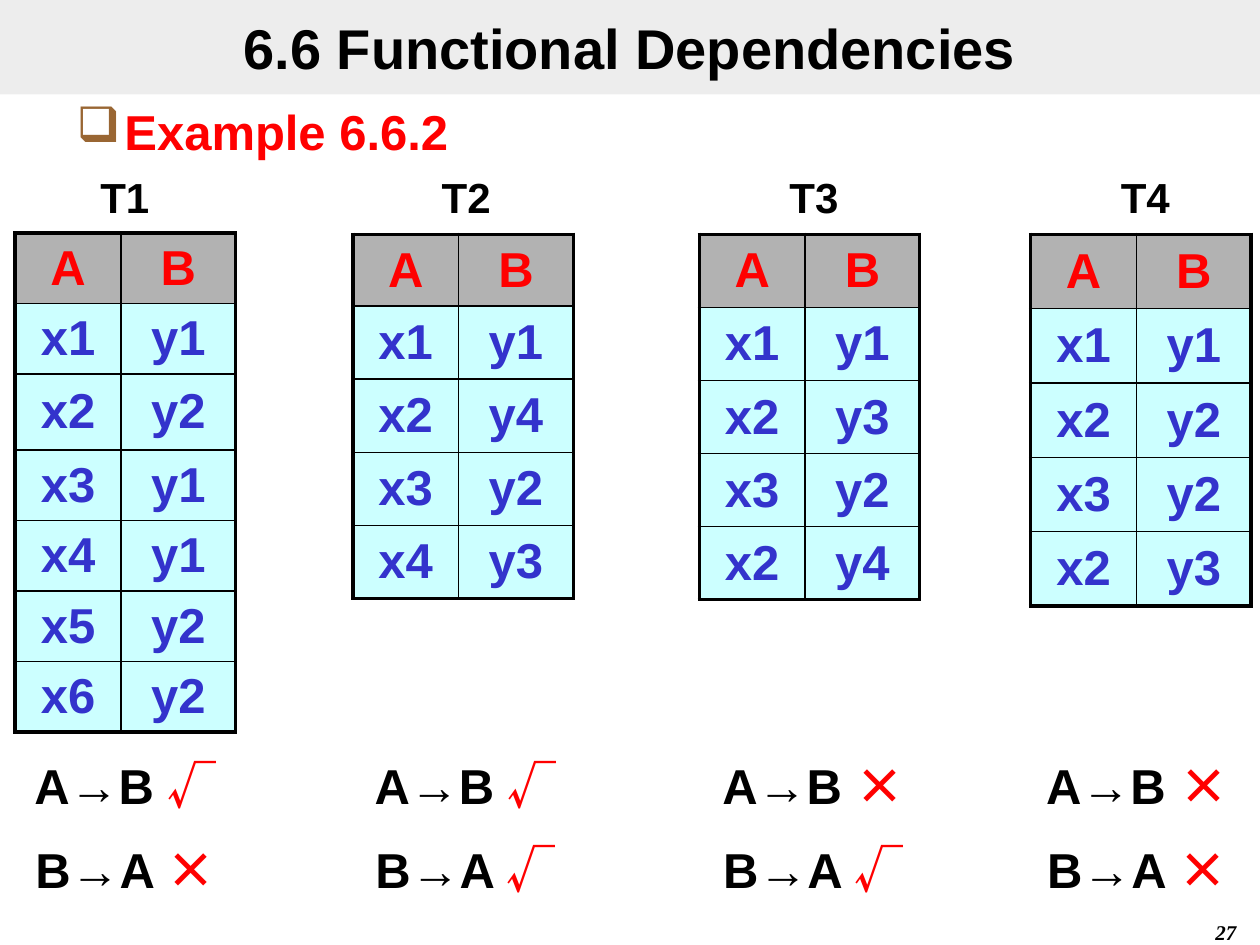
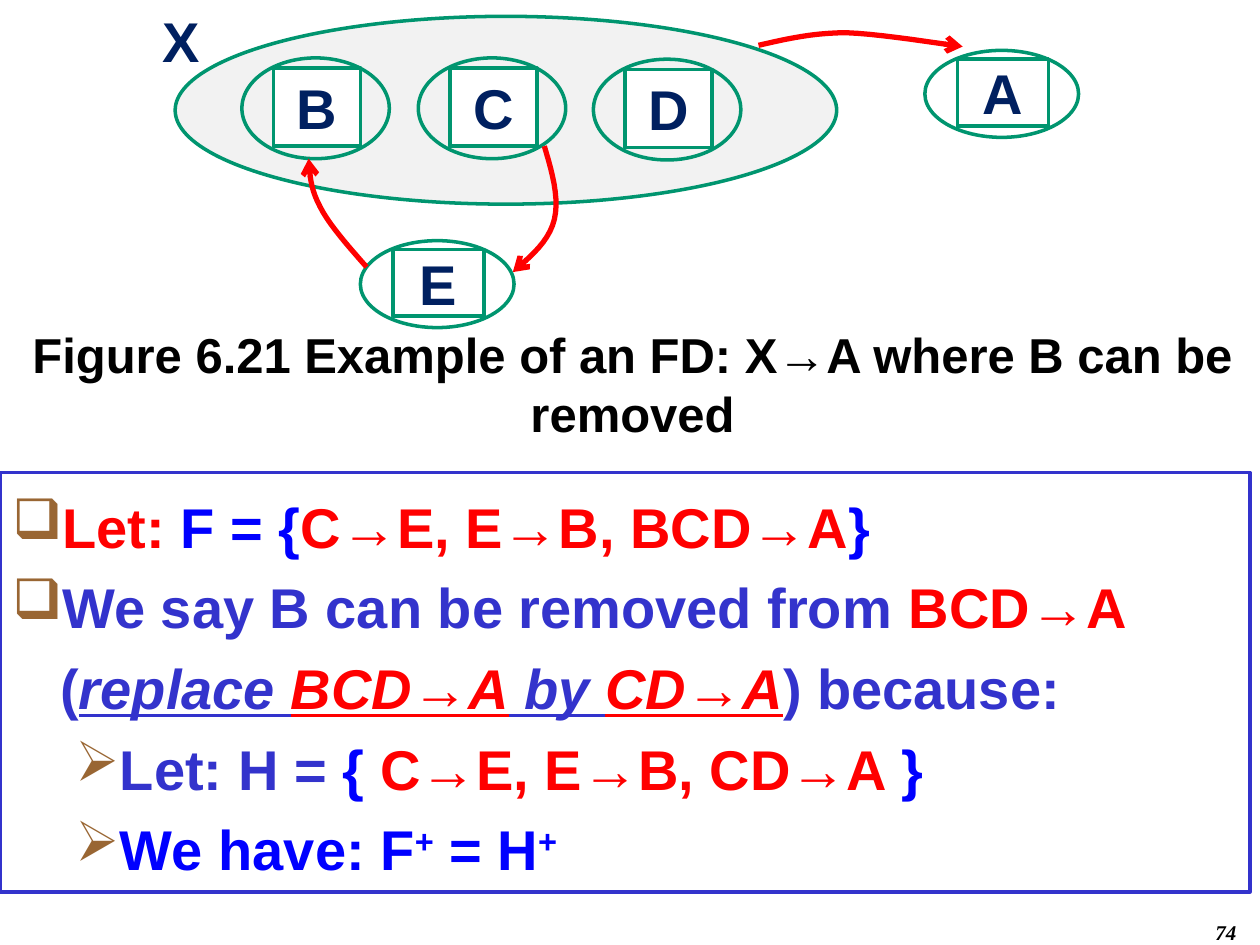
from dataclasses import dataclass

from lxml import etree
from pptx import Presentation
from pptx import util as u
from pptx.dml.color import RGBColor
from pptx.enum import shapes, text
from pptx.oxml import ns


@dataclass(frozen=True)
class Theme:
    font: str = "Arial"
    symbol_font: str = "Noto Sans CJK SC"
    number_font: str = "Times New Roman"
    black: str = "000000"
    white: str = "FFFFFF"
    red: str = "FF0000"
    blue: str = "0000FF"
    indigo: str = "3333CC"
    navy: str = "002060"
    green: str = "00956F"
    brown: str = "996633"
    band: str = "DDDDDD"
    header: str = "B2B2B2"
    cell: str = "CCFFFF"
    oval: str = "F2F2F2"
    title: int = 32
    body: int = 28
    label: int = 24
    number: int = 12


THEME = Theme()
CENTER = text.PP_ALIGN.CENTER
MIDDLE = text.MSO_ANCHOR.MIDDLE
ARROW_STEPS = 10

TABLES = [
    (0.12, 1.85, 0.28, 0.12, [0.56, 0.56, 0.6] + [0.56] * 4,
     ["y1", "y2", "y1", "y1", "y2", "y2"], "x1 x2 x3 x4 x5 x6", "√×"),
    (2.8, 1.86, 2.99, 2.82, [0.57] + [0.58] * 4,
     ["y1", "y4", "y2", "y3"], "x1 x2 x3 x4", "√√"),
    (5.55, 1.86, 5.75, 5.58, [0.58] * 5,
     ["y1", "y3", "y2", "y4"], "x1 x2 x3 x2", "×√"),
    (8.18, 1.86, 8.38, 8.15, [0.59] * 5,
     ["y1", "y2", "y2", "y3"], "x1 x2 x3 x2", "××"),
]


def color(value):
    return RGBColor.from_string(value)


def add_xml(parent, tag, **attributes):
    child = etree.SubElement(parent, ns.qn(tag))
    for name, value in attributes.items():
        child.set(name, str(value))
    return child


def set_font(font, size, fill, name=THEME.font, italic=None):
    font.name, font.size, font.bold, font.italic = name, u.Pt(size), True, italic
    font.color.rgb = color(fill)


def write(paragraph, words, size, fill, align=CENTER, **options):
    paragraph.add_run().text = words
    paragraph.alignment = align
    set_font(paragraph.font, size, fill, **options)


def add_run(paragraph, words, fill, size, name=THEME.font, emphasis=False, raised=False):
    run = paragraph.add_run()
    run.text = words
    set_font(run.font, size, fill, name, emphasis or None)
    if emphasis:
        run.font.underline = True
    if raised:
        run.font._element.set("baseline", "30000")
    return run


def add_bullet(paragraph, char, left, hanging):
    properties = paragraph._p.get_or_add_pPr()
    properties.set("marL", str(u.Inches(left)))
    properties.set("indent", str(-u.Inches(hanging)))
    add_xml(add_xml(properties, "a:buClr"), "a:srgbClr", val=THEME.brown)
    add_xml(properties, "a:buChar", char=char)


def add_text(slide, left, top, width, height):
    frame = slide.shapes.add_textbox(*map(u.Inches, (left, top, width, height))).text_frame
    frame.word_wrap = True
    return frame


def style_shape(shape, fill=None, line=None, width=2):
    shape.shadow.inherit = False
    if fill:
        shape.fill.solid()
        shape.fill.fore_color.rgb = color(fill)
    else:
        shape.fill.background()
    if line:
        shape.line.color.rgb = color(line)
        shape.line.width = u.Pt(width)
    else:
        shape.line.fill.background()


def add_shape(slide, kind, left, top, width, height, fill=None, line=None):
    shape = slide.shapes.add_shape(kind, *map(u.Inches, (left, top, width, height)))
    style_shape(shape, fill, line)
    return shape


def center_label(frame, words):
    frame.margin_left = frame.margin_right = frame.margin_top = frame.margin_bottom = 0
    frame.vertical_anchor = MIDDLE
    write(frame.paragraphs[0], words, THEME.title, THEME.navy)


def add_slide(presentation, number):
    slide = presentation.slides.add_slide(presentation.slide_layouts[6])
    frame = add_text(slide, 7.83, 7.25, 2.08, 0.25)
    write(frame.paragraphs[0], str(number), THEME.number, THEME.black,
          text.PP_ALIGN.RIGHT, name=THEME.number_font, italic=True)
    return slide


def add_title(slide, words):
    band = add_shape(slide, shapes.MSO_SHAPE.RECTANGLE, 0, 0, 10, 0.75, THEME.band)
    add_xml(band.fill._xPr.find(".//" + ns.qn("a:srgbClr")), "a:alpha", val=50000)
    band.text_frame.vertical_anchor = MIDDLE
    write(band.text_frame.paragraphs[0], words, THEME.title, THEME.black)


def set_borders(cell, outer_edges):
    properties = cell._tc.get_or_add_tcPr()
    for position, (side, is_outer) in enumerate(zip("LRTB", outer_edges)):
        width = u.Pt(2.25 if is_outer else 1)
        line = etree.Element(ns.qn("a:ln" + side), w=str(width))
        add_xml(add_xml(line, "a:solidFill"), "a:srgbClr", val=THEME.black)
        properties.insert(position, line)


def add_relation(slide, left, top, heights, rows):
    size = map(u.Inches, (left, top, 1.75, sum(heights)))
    table = slide.shapes.add_table(len(rows), 2, *size).table
    for column, width in zip(table.columns, (0.84, 0.91)):
        column.width = u.Inches(width)
    for i, (height, row) in enumerate(zip(heights, rows)):
        table.rows[i].height = u.Inches(height)
        for j, words in enumerate(row):
            cell = table.cell(i, j)
            cell.margin_top = cell.margin_bottom = 0
            cell.vertical_anchor = MIDDLE
            cell.fill.solid()
            cell.fill.fore_color.rgb = color(THEME.cell if i else THEME.header)
            set_borders(cell, (j == 0, j == 1, i == 0, i == len(rows) - 1))
            write(cell.text_frame.paragraphs[0], words, THEME.body,
                  THEME.indigo if i else THEME.red)


def add_verdicts(slide, left, marks):
    frame = add_text(slide, left, 5.95, 1.75, 1.27)
    for i, (rule, mark) in enumerate(zip(("A→B ", "B→A "), marks)):
        paragraph = frame.add_paragraph() if i else frame.paragraphs[0]
        paragraph.alignment = CENTER
        paragraph.line_spacing = u.Pt(33.6)
        if i:
            paragraph.space_before = u.Pt(14)
        add_run(paragraph, rule, THEME.black, THEME.body)
        run = add_run(paragraph, mark, THEME.red, THEME.body, THEME.symbol_font)
        add_xml(run.font._element, "a:ea", typeface=THEME.symbol_font)


def add_attribute(slide, words, left, top, oval, box, offset):
    add_shape(slide, shapes.MSO_SHAPE.OVAL, left, top, *oval, line=THEME.green)
    label = add_shape(slide, shapes.MSO_SHAPE.RECTANGLE, left + offset[0], top + offset[1],
                      *box, THEME.white, THEME.green)
    center_label(label.text_frame, words)


def curve_points(points):
    for k in range(0, len(points) - 1, 3):
        for step in range(1, ARROW_STEPS + 1):
            t = step / ARROW_STEPS
            weights = ((1 - t) ** 3, 3 * t * (1 - t) ** 2, 3 * t * t * (1 - t), t ** 3)
            yield tuple(u.Inches(sum(w * p[axis] for w, p in zip(weights, points[k:k + 4])))
                        for axis in (0, 1))


def add_curved_arrow(slide, points):
    builder = slide.shapes.build_freeform(*map(u.Inches, points[0]))
    builder.add_line_segments(list(curve_points(points)), close=False)
    arrow = builder.convert_to_shape()
    style_shape(arrow, line=THEME.red, width=3)
    add_xml(arrow.line._get_or_add_ln(), "a:tailEnd", type="arrow")


def add_statements(slide):
    box = add_shape(slide, shapes.MSO_SHAPE.RECTANGLE, 0, 3.75, 9.92, 3.33, line=THEME.indigo)
    frame = box.text_frame
    frame.vertical_anchor = text.MSO_ANCHOR.TOP
    red, blue, indigo = THEME.red, THEME.blue, THEME.indigo
    main, detail = ("❑", 0.38, 0.38), ("➢", 0.81, 0.31)
    emphasis, raised = {"emphasis": True}, {"raised": True}
    statements = [
        (main, [("Let: ", red), ("F = {", blue), ("C→E, E→B, BCD→A", red), ("}", blue)]),
        (main, [("We say B can be removed from ", indigo), ("BCD→A", red), (" (", indigo),
                ("replace ", indigo, emphasis), ("BCD→A", red, emphasis),
                (" by ", indigo, emphasis), ("CD→A", red, emphasis),
                (") because:", indigo)]),
        (detail, [("Let: H = ", indigo), ("{ ", blue), ("C→E, E→B, CD→A ", red),
                  ("}", blue)]),
        (detail, [("We have: F", blue), ("+", blue, raised), (" = H", blue),
                  ("+", blue, raised)]),
    ]
    for i, (bullet, runs) in enumerate(statements):
        paragraph = frame.add_paragraph() if i else frame.paragraphs[0]
        add_bullet(paragraph, *bullet)
        paragraph.alignment = text.PP_ALIGN.LEFT
        paragraph.line_spacing = 1.2
        for words, fill, *options in runs:
            add_run(paragraph, words, fill, THEME.title, **(options[0] if options else {}))


def build_example(presentation):
    slide = add_slide(presentation, 27)
    add_title(slide, "6.6 Functional Dependencies")
    heading = add_text(slide, 0.51, 0.76, 9, 0.6).paragraphs[0]
    add_bullet(heading, "❑", 0.38, 0.38)
    write(heading, "Example 6.6.2", THEME.body, THEME.red, text.PP_ALIGN.LEFT)
    for i, (left, top, name_left, rule_left, heights, y, x, marks) in enumerate(TABLES, 1):
        add_relation(slide, left, top, heights, [("A", "B"), *zip(x.split(), y)])
        name = add_text(slide, name_left, 1.31, 1.42, 0.5)
        write(name.paragraphs[0], f"T{i}", THEME.label, THEME.black)
        add_verdicts(slide, rule_left, marks)


def build_removal(presentation):
    slide = add_slide(presentation, 74)
    add_statements(slide)
    add_shape(slide, shapes.MSO_SHAPE.OVAL, 1.39, 0.13, 5.25, 1.49, THEME.oval, THEME.green)
    inner = ((1.17, 0.8), (0.69, 0.62), (0.25, 0.08))
    outer = ((1.22, 0.69), (0.72, 0.53), (0.26, 0.07))
    for words, left, top, sizes in (("B", 1.92, 0.46, inner), ("C", 3.32, 0.46, inner),
                                    ("D", 4.71, 0.47, inner), ("E", 2.86, 1.91, outer),
                                    ("A", 7.34, 0.4, outer)):
        add_attribute(slide, words, left, top, *sizes)
    center_label(add_text(slide, 1.18, 0.13, 0.52, 0.37), "X")
    caption = add_text(slide, 0.12, 2.53, 9.8, 0.91)
    write(caption.paragraphs[0], "Figure 6.21 Example of an FD: X→A where B can be removed",
          THEME.body, THEME.black)
    x_to_a = [(6.02, 0.36), (6.24, 0.31), (6.45, 0.26), (6.72, 0.26),
              (6.99, 0.27), (7.48, 0.35), (7.64, 0.37)]
    e_to_b = [(2.91, 2.12), (2.76, 1.95), (2.61, 1.78), (2.54, 1.64),
              (2.46, 1.49), (2.46, 1.38), (2.45, 1.26)]
    c_to_e = [(4.32, 1.16), (4.38, 1.36), (4.44, 1.57), (4.4, 1.74),
              (4.36, 1.91), (4.22, 2.03), (4.07, 2.16)]
    for points in (x_to_a, e_to_b, c_to_e):
        add_curved_arrow(slide, points)


def main():
    presentation = Presentation()
    presentation.slide_width, presentation.slide_height = u.Inches(10), u.Inches(7.5)
    build_example(presentation)
    build_removal(presentation)
    presentation.save("out.pptx")


if __name__ == "__main__":
    main()
